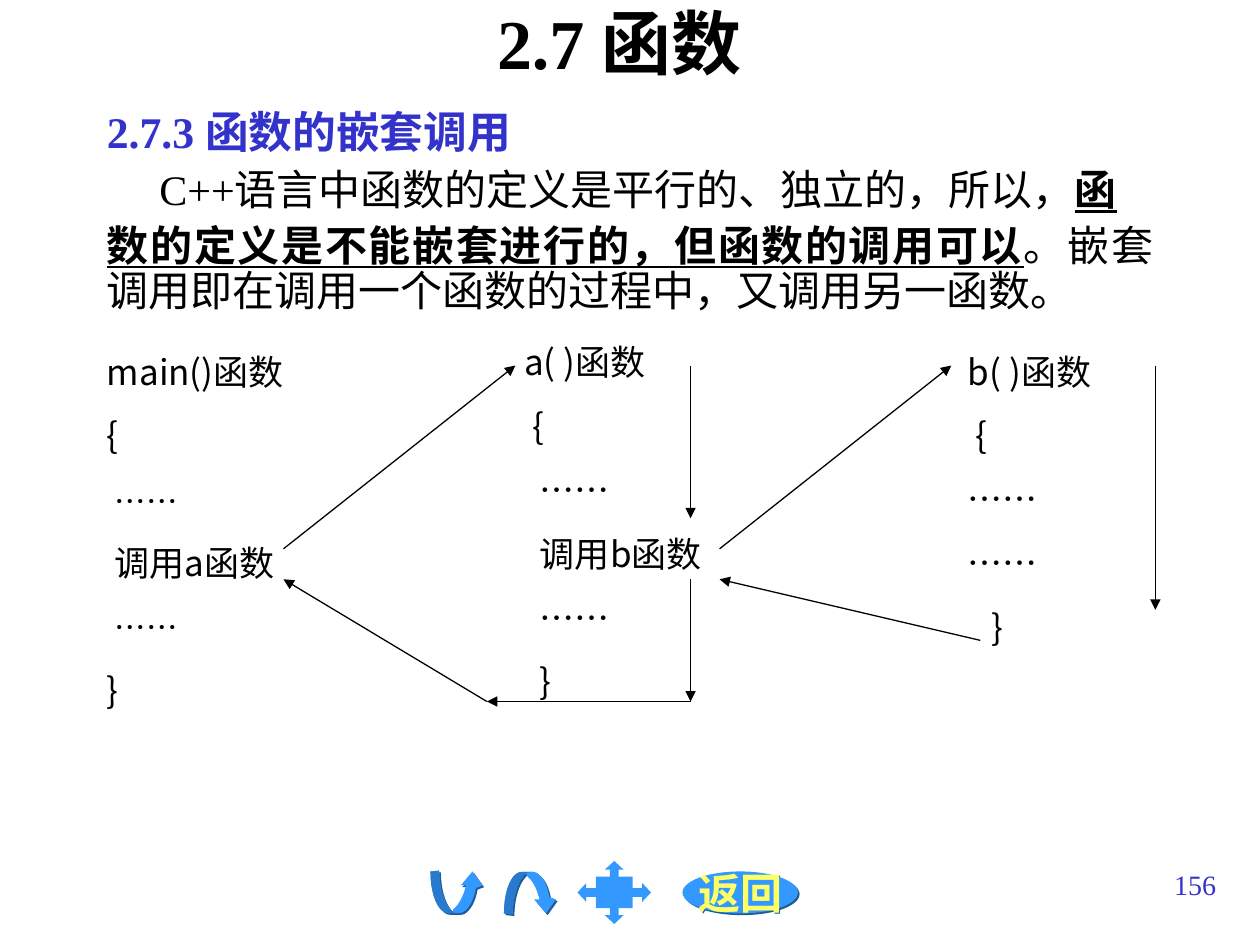
import pptx
import pptx.dml.color
import pptx.enum.shapes
import pptx.enum.text
import pptx.oxml
import pptx.oxml.ns
import pptx.util
from lxml import etree

Pt = pptx.util.Pt
qn = pptx.oxml.ns.qn
RGBColor = pptx.dml.color.RGBColor
ALIGN = pptx.enum.text.PP_ALIGN
ANCHOR = pptx.enum.text.MSO_ANCHOR
SHAPE = pptx.enum.shapes.MSO_SHAPE

BLACK = RGBColor(0x00, 0x00, 0x00)
INDIGO = RGBColor(0x33, 0x33, 0xCC)
SKY = RGBColor(0x33, 0x99, 0xFF)
DEEP_SKY = RGBColor(0x29, 0x7A, 0xCC)
YELLOW = RGBColor(0xFF, 0xFF, 0x66)
SERIF = "Times New Roman"
SANS = "Noto Sans CJK SC"
SHADOW_XML = (
    '<a:effectLst xmlns:a="http://schemas.openxmlformats.org/drawingml/2006/main">'
    '<a:outerShdw blurRad="0" dist="17780" dir="2700000" algn="ctr" rotWithShape="0">'
    '<a:srgbClr val="1E5B98"/></a:outerShdw></a:effectLst>'
)

# Functions shown side by side: left, top, width, height, then
# (text, indent, size, space before) for each line.
LISTINGS = [
    ((54, 196.5, 138, 212.5), [
        ("main()函数", 0, 20, 0), ("{", 0, 20, 12.5), ("……", 4.5, 18, 15),
        ("调用a函数", 4.5, 20, 12.5), ("……", 4.5, 18, 14), ("}", 0, 20, 12.5)]),
    ((288, 191, 144, 214), [
        ("a( )函数", 4.5, 20, 0), ("{", 9, 20, 12.5), ("……", 13.5, 20, 12.5),
        ("调用b函数", 13.5, 20, 12.5), ("……", 13.5, 20, 12.5), ("}", 13.5, 20, 12.5)]),
    ((546, 196.5, 114, 177), [
        ("b( )函数", 0, 20, 0), ("{", 4.5, 20, 12.5), ("……", 0, 20, 12.5),
        ("……", 0, 20, 12.5), ("}", 13.5, 20, 12.5)]),
]

# Call flow: x and step of each end; steps are evenly spaced rows.
FLOW_TOP, FLOW_STEP = 208.9, 17.45
CALL_ARROWS = [
    (394.6, 0, 394.6, 5), (660.2, 0, 660.2, 8), (394.6, 7, 394.6, 11),
    (394.6, 11, 278.2, 11), (278.2, 11, 162, 7), (162, 6, 294.5, 0),
    (411.2, 6, 543.6, 0), (560.2, 9, 411.2, 7),
]

# Curved arrow: two numbers make a corner, six make a Bezier curve.
INNER_CURVE = [(13, 23), (8.7, 20.2, 5, 10.8, 5, -0.5)]
CURVED_ARROW = [
    (0, 0), (0, 13, 4.3, 23.8, 10.3, 23.8), (16.5, 23.8),
    (20.3, 23.8, 24.5, 18, 26, 9.4), (29.7, 8), (24, 0), (17.3, 8), (20.3, 8),
    (18.8, 14.4, 16, 19.4, 13, 21.6)] + INNER_CURVE
CURVED_ARROW_TAIL = [
    (0, 0), (0, 13, 4.3, 23.8, 10.3, 23.8), (16.5, 23.8),
    (15.4, 23.8, 14.3, 23.5, 13.3, 23.2)] + INNER_CURVE


def add_run(paragraph, text, size, font=SERIF, color=BLACK, bold=False, underline=False):
    run = paragraph.add_run()
    run.text = text
    run.font.size = Pt(size)
    run.font.bold = bold
    run.font.underline = underline
    run.font.color.rgb = color
    run.font.name = font
    east_asian = etree.SubElement(run.font._element, qn("a:ea"))
    east_asian.set("typeface", SANS)


def add_text_frame(slide, left, top, width, height, anchor=ANCHOR.TOP):
    box = slide.shapes.add_textbox(Pt(left), Pt(top), Pt(width), Pt(height))
    box.text_frame.word_wrap = True
    box.text_frame.vertical_anchor = anchor
    return box.text_frame


def set_indent(paragraph, left=0, first_line=0):
    properties = paragraph._p.get_or_add_pPr()
    properties.set("marL", str(Pt(left)))
    properties.set("indent", str(Pt(first_line)))


def add_line_of_text(slide, bounds, text, size, color, alignment, bold=False):
    frame = add_text_frame(slide, *bounds, anchor=ANCHOR.MIDDLE if bold else ANCHOR.TOP)
    paragraph = frame.paragraphs[0]
    paragraph.alignment = alignment
    add_run(paragraph, text, size, color=color, bold=bold)


def add_body(slide):
    frame = add_text_frame(slide, 54, 60, 612, 130)
    heading = frame.paragraphs[0]
    add_run(heading, "2.7.3 函数的嵌套调用", 25, color=INDIGO, bold=True)
    opening = frame.add_paragraph()
    set_indent(opening, first_line=30)
    add_run(opening, "C++语言中函数的定义是平行的、独立的，所以，", 24)
    add_run(opening, "函", 24, bold=True, underline=True)
    explanation = frame.add_paragraph()
    add_run(explanation, "数的定义是不能嵌套进行的，但函数的调用可以", 24, bold=True, underline=True)
    add_run(explanation, "。嵌套调用即在调用一个函数的过程中，又调用另一函数。", 24)
    for paragraph in frame.paragraphs:
        paragraph.alignment = ALIGN.JUSTIFY
        paragraph.line_spacing = 0.9
    for paragraph in (opening, explanation):
        paragraph.space_before = Pt(6)


def add_listing(slide, bounds, lines):
    frame = add_text_frame(slide, *bounds)
    for index, (text, indent, size, space_before) in enumerate(lines):
        paragraph = frame.add_paragraph() if index else frame.paragraphs[0]
        set_indent(paragraph, left=indent)
        paragraph.space_before = Pt(space_before)
        add_run(paragraph, text, size, font=SANS)


def add_call_arrow(slide, start_x, start_step, end_x, end_step):
    start_y, end_y = (FLOW_TOP + FLOW_STEP * step for step in (start_step, end_step))
    connector = slide.shapes.add_connector(
        pptx.enum.shapes.MSO_CONNECTOR.STRAIGHT,
        Pt(start_x), Pt(start_y), Pt(end_x), Pt(end_y))
    connector.line.color.rgb = BLACK
    connector.line.width = Pt(0.75)
    etree.SubElement(connector.line._get_or_add_ln(), qn("a:tailEnd")).set("type", "triangle")
    etree.SubElement(connector._element.spPr, qn("a:effectLst"))


def paint(shape, color, shadow=False):
    shape.fill.solid()
    shape.fill.fore_color.rgb = color
    shape.line.fill.background()
    if shadow:
        shape._element.spPr.append(pptx.oxml.parse_xml(SHADOW_XML))
    else:
        shape.shadow.inherit = False


def flatten(outline, samples=10):
    """Turn corners and Bezier curves into a list of points."""
    points = []
    for segment in outline:
        if len(segment) == 2:
            points.append(segment)
            continue
        start = points[-1]
        controls = (start, segment[0:2], segment[2:4], segment[4:6])
        for index in range(1, samples + 1):
            t = index / samples
            weights = ((1 - t) ** 3, 3 * t * (1 - t) ** 2, 3 * t * t * (1 - t), t ** 3)
            points.append(tuple(
                sum(weight * point[axis] for weight, point in zip(weights, controls))
                for axis in (0, 1)))
    return points


def add_curved_arrow(slide, left, base, direction):
    """Draw the arrow below base (direction 1) or mirrored above it (-1)."""
    for outline, color, shadow in ((CURVED_ARROW, SKY, True), (CURVED_ARROW_TAIL, DEEP_SKY, False)):
        points = [(Pt(left + x), Pt(base + direction * y)) for x, y in flatten(outline)]
        builder = slide.shapes.build_freeform(*points[0])
        builder.add_line_segments(points[1:], close=True)
        paint(builder.convert_to_shape(), color, shadow)


def add_navigation(slide):
    add_curved_arrow(slide, 246, 498, 1)
    add_curved_arrow(slide, 288, 522, -1)
    menu = slide.shapes.add_shape(
        SHAPE.QUAD_ARROW_CALLOUT, Pt(330), Pt(492), Pt(42), Pt(36))
    for index, value in enumerate((0.14, 0.15, 0.14, 0.5)):
        menu.adjustments[index] = value
    paint(menu, SKY)
    button = slide.shapes.add_shape(SHAPE.OVAL, Pt(390), Pt(498), Pt(66), Pt(24))
    paint(button, SKY, shadow=True)
    button.text_frame.word_wrap = False
    button.text_frame.vertical_anchor = ANCHOR.MIDDLE
    label = button.text_frame.paragraphs[0]
    label.alignment = ALIGN.CENTER
    add_run(label, "返回", 24, color=YELLOW, bold=True)


def main():
    presentation = pptx.Presentation()
    presentation.slide_width = Pt(720)
    presentation.slide_height = Pt(540)
    slide = presentation.slides.add_slide(presentation.slide_layouts[6])
    add_navigation(slide)
    add_body(slide)
    add_line_of_text(slide, (48, 0, 612, 48), "2.7 函数", 40, BLACK, ALIGN.CENTER, bold=True)
    for arrow in CALL_ARROWS:
        add_call_arrow(slide, *arrow)
    for bounds, lines in LISTINGS:
        add_listing(slide, bounds, lines)
    add_line_of_text(slide, (552, 492, 150, 36), "156", 16, INDIGO, ALIGN.RIGHT)
    presentation.save("out.pptx")


if __name__ == "__main__":
    main()
